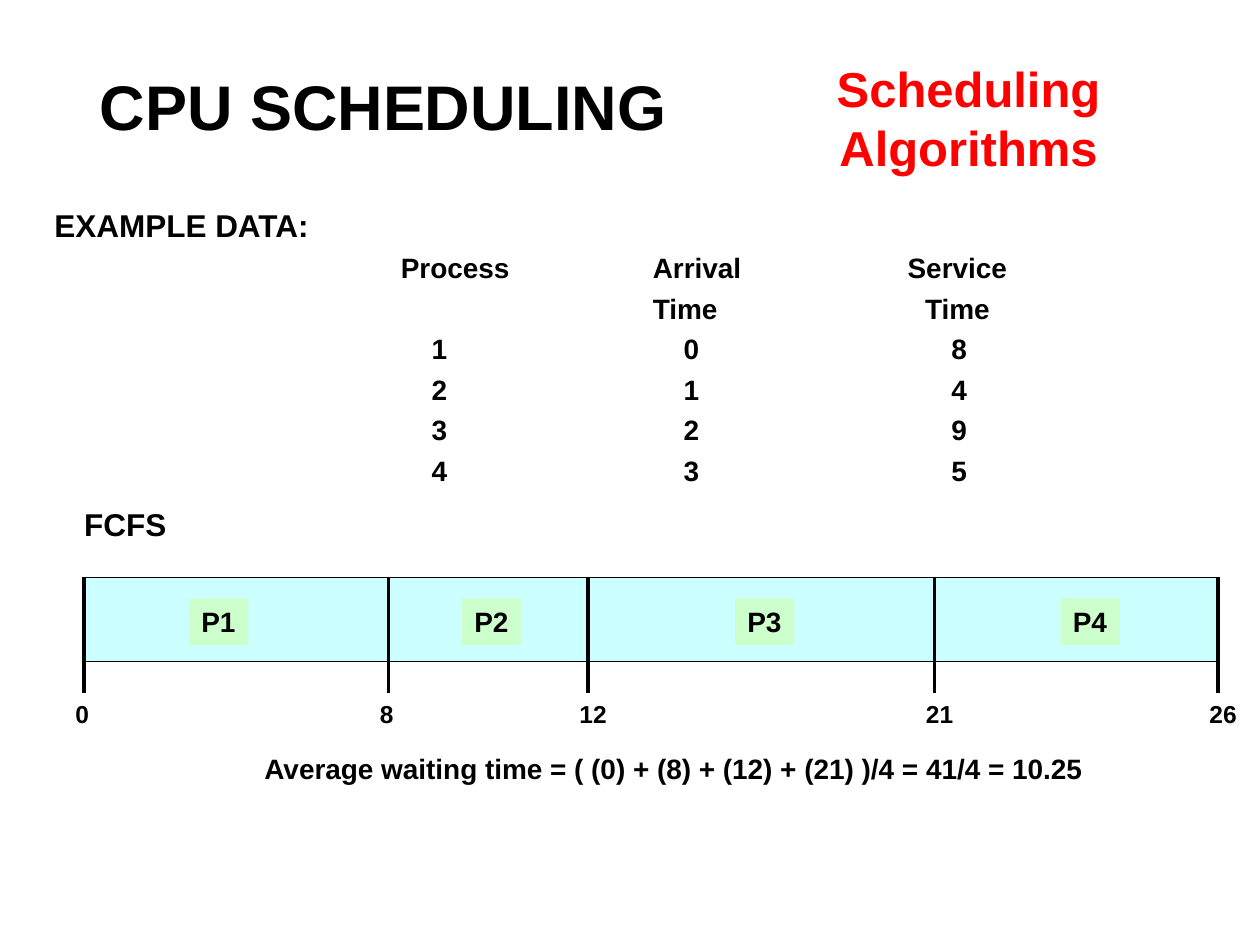
from lxml.etree import SubElement
from pptx import Presentation
from pptx.dml.color import RGBColor
from pptx.enum.shapes import MSO_CONNECTOR, MSO_SHAPE
from pptx.enum.text import MSO_ANCHOR, MSO_AUTO_SIZE, PP_ALIGN
from pptx.oxml.ns import qn
from pptx.util import Pt

BLACK, RED = "000000", "FF0000"
BAR_FILL, PROCESS_FILL = "CCFFFF", "CCFFCC"

# Short labels stay on one line in a box that fits them
ONE_LINE = {"word_wrap": False, "auto_size": MSO_AUTO_SIZE.SHAPE_TO_FIT_TEXT}

# Tab stops of the data columns: position in points, alignment
HEADING_STOPS = [(198, "l"), (342, "l"), (516, "ctr")]
VALUE_STOPS = [(220, "ctr"), (364, "ctr"), (517, "ctr")]

HEADINGS = [("Process", "Arrival", "Service"), ("", "Time", "Time")]
PROCESSES = [(1, 0, 8), (2, 1, 4), (3, 2, 9), (4, 3, 5)]

# Chart of the schedule: tick time and place, process label and place
BAR_TOP, BAR_HEIGHT, TICK_BOTTOM = 330, 48, 396
TICKS = [(0, 48), (8, 222), (12, 336), (21, 534), (26, 696)]
PROCESS_LABELS = [("P1", 108), ("P2", 264), ("P3", 420), ("P4", 606)]


def color(hex_string):
    return RGBColor.from_string(hex_string)


def apply(target, values):
    for name, value in values.items():
        setattr(target, name, value)


def write(paragraph, text, size, ink=BLACK, **paragraph_format):
    apply(paragraph, paragraph_format)
    run = paragraph.add_run()
    run.text = text
    apply(run.font, {"name": "Arial", "size": Pt(size), "bold": True})
    run.font.color.rgb = color(ink)


def add_text(slide, box, lines, size, ink=BLACK, align=PP_ALIGN.LEFT, **frame_format):
    label = slide.shapes.add_textbox(*map(Pt, box))
    frame = label.text_frame
    apply(frame, {"word_wrap": True, **frame_format})
    for index, line in enumerate(lines):
        paragraph = frame.add_paragraph() if index else frame.paragraphs[0]
        write(paragraph, line, size, ink, alignment=align)
    return label


def add_row(frame, cells, stops):
    paragraph = frame.add_paragraph()
    text = "".join(f"\t{cell}" for cell in cells)
    write(paragraph, text, 16, space_before=Pt(4))
    tab_list = SubElement(paragraph._p.get_or_add_pPr(), qn("a:tabLst"))
    for position, align in stops:
        SubElement(tab_list, qn("a:tab"), pos=str(Pt(position)), algn=align)


def add_bar(slide, box):
    bar = slide.shapes.add_shape(MSO_SHAPE.RECTANGLE, *map(Pt, box))
    bar.shadow.inherit = False
    bar.fill.solid()
    bar.fill.fore_color.rgb = color(BAR_FILL)
    bar.line.color.rgb = color(BLACK)
    bar.line.width = Pt(0.75)


def add_tick(slide, x):
    tick = slide.shapes.add_connector(
        MSO_CONNECTOR.STRAIGHT, Pt(x), Pt(BAR_TOP), Pt(x), Pt(TICK_BOTTOM))
    tick.line.color.rgb = color(BLACK)
    tick.line.width = Pt(2.25)
    SubElement(tick._element.spPr, qn("a:effectLst"))


def add_example_data(slide):
    data = add_text(slide, (24, 114, 678, 168), ["EXAMPLE DATA:"], 18)
    frame = data.text_frame
    frame.paragraphs[0].space_before = Pt(4.5)
    for headings in HEADINGS:
        add_row(frame, headings, HEADING_STOPS)
    for values in PROCESSES:
        add_row(frame, values, VALUE_STOPS)


def add_schedule(slide):
    start, end = TICKS[0][1], TICKS[-1][1]
    add_bar(slide, (start, BAR_TOP, end - start, BAR_HEIGHT))
    for _, x in TICKS:
        add_tick(slide, x)
    for time, x in TICKS:
        width = 22.4 if time < 10 else 30.2
        add_text(slide, (x - 12, TICK_BOTTOM, width, 24.5), [str(time)], 14, **ONE_LINE)
    for name, x in PROCESS_LABELS:
        process = add_text(slide, (x, 342, 34, 26.6), [name], 16, **ONE_LINE)
        process.fill.solid()
        process.fill.fore_color.rgb = color(PROCESS_FILL)


def main():
    presentation = Presentation()
    apply(presentation, {"slide_width": Pt(720), "slide_height": Pt(540)})
    slide = presentation.slides.add_slide(presentation.slide_layouts[6])

    # Process table
    add_example_data(slide)

    # First come, first served schedule
    add_schedule(slide)
    add_text(slide, (41, 285, 62, 29), ["FCFS"], 18, **ONE_LINE)
    add_text(slide, (144, 426, 486, 26.6),
             ["Average waiting time = ( (0) + (8) + (12) + (21) )/4 = 41/4 = 10.25"], 16)

    # Titles
    add_text(slide, (42, 24, 354, 72), ["CPU SCHEDULING"], 36,
             align=PP_ALIGN.CENTER, vertical_anchor=MSO_ANCHOR.MIDDLE)
    add_text(slide, (426, 30, 255, 75), ["Scheduling", "Algorithms"], 28, RED,
             align=PP_ALIGN.CENTER)

    presentation.save("out.pptx")


if __name__ == "__main__":
    main()
